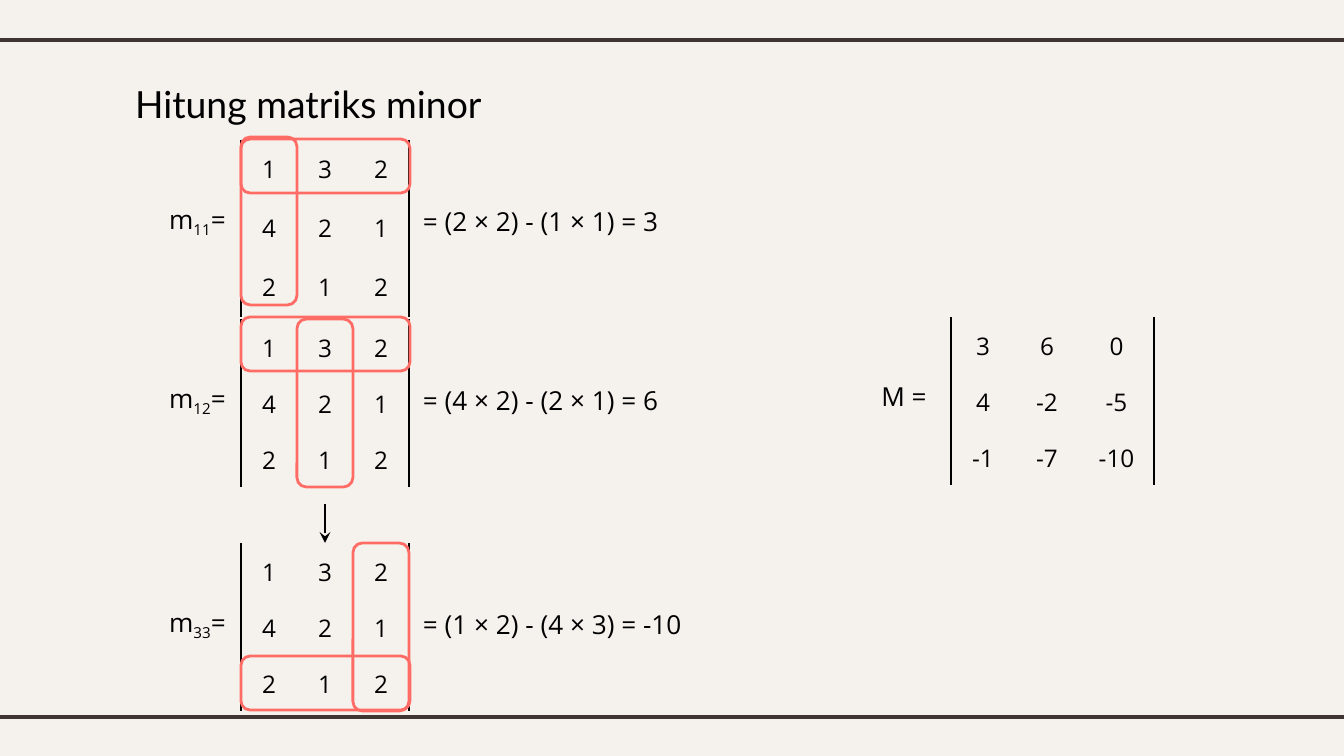
from lxml import etree
from pptx import Presentation
from pptx.dml.color import RGBColor
from pptx.enum import shapes, text
from pptx.oxml import ns
from pptx.util import Pt

# Content
TITLE = "Hitung matriks minor"
MATRIX = [["1", "3", "2"], ["4", "2", "1"], ["2", "1", "2"]]
MINOR_MATRIX = [["3", "6", "0"], ["4", "-2", "-5"], ["-1", "-7", "-10"]]
# (table top, struck row, struck column, row box top, column box top, result)
MINORS = [
    (140, 1, 1, 139, 137, "= (2 × 2) - (1 × 1) = 3"),
    (319, 1, 2, 317, 319, "= (4 × 2) - (2 × 1) = 6"),
    (543, 3, 3, 656, 543, "= (1 × 2) - (4 × 3) = -10"),
]

# Style and layout in px
BACKGROUND = RGBColor(0xF5, 0xF2, 0xEE)
RULE = RGBColor(0x3F, 0x35, 0x33)
BLACK = RGBColor(0, 0, 0)
CORAL = RGBColor(0xFF, 0x6B, 0x65)
HEAD_FONT, BODY_FONT = "Lato", "Open Sans"
WIDTH, HEIGHT = 1344, 756
CELL, LEFT = 56, 241
SIDE = 3 * CELL + 1
LABEL_W, TEXT_H, INSET = 87, 59, 13


def px(n):
    return round(n * 914400 / 134.4)


def box(*lengths):
    return [px(n) for n in lengths]


def style(p, size, font, align=text.PP_ALIGN.LEFT):
    p.font.size, p.font.name = Pt(size), font
    p.font.color.rgb = BLACK
    p.alignment = align


def set_insets(item):
    item.margin_left = item.margin_right = px(INSET)
    item.margin_top = item.margin_bottom = px(INSET)


def add_text(left, top, width, runs, align=text.PP_ALIGN.LEFT):
    """Add one line; runs are (wording, is subscript)."""
    tf = slide.shapes.add_textbox(*box(left, top, width, TEXT_H)).text_frame
    tf.word_wrap = True
    set_insets(tf)
    p = tf.paragraphs[0]
    style(p, 14, BODY_FONT, align)
    for wording, subscript in runs:
        r = p.add_run()
        r.text = wording
        if subscript:
            r.font._element.set("baseline", "-25000")


def add_line(x1, y1, x2, y2, color, weight):
    line = slide.shapes.add_connector(
        shapes.MSO_CONNECTOR.STRAIGHT, *box(x1, y1, x2, y2))
    line.line.color.rgb = color
    line.line.width = Pt(weight)
    etree.SubElement(line._element.spPr, ns.qn("a:effectLst"))
    return line


def set_borders(cell, visible):
    tc_pr = cell._tc.get_or_add_tcPr()
    for i, side in enumerate(("lnL", "lnR", "lnT", "lnB")):
        ln = etree.Element(ns.qn("a:" + side), w=str(Pt(0.75)))
        if side in visible:
            fill = etree.SubElement(ln, ns.qn("a:solidFill"))
            etree.SubElement(fill, ns.qn("a:srgbClr"), val=str(BLACK))
        else:
            etree.SubElement(ln, ns.qn("a:noFill"))
        tc_pr.insert(i, ln)


def add_matrix(left, top, values, widths):
    frame = slide.shapes.add_table(
        len(values), len(widths), *box(left, top, sum(widths), CELL * len(values)))
    table = frame.table
    table.first_row = table.horz_banding = False
    for column, width in zip(table.columns, widths):
        column.width = px(width)
    last = len(widths) - 1
    for i, row in enumerate(values):
        table.rows[i].height = px(CELL)
        for j, value in enumerate(row):
            cell = table.cell(i, j)
            cell.text = value
            set_insets(cell)
            cell.fill.background()
            style(cell.text_frame.paragraphs[0], 13, BODY_FONT, text.PP_ALIGN.CENTER)
            set_borders(cell, {0: ["lnL"], last: ["lnR"]}.get(j, []))


def add_strike(left, top, width, height):
    sp = slide.shapes.add_shape(
        shapes.MSO_SHAPE.ROUNDED_RECTANGLE, *box(left, top, width, height))
    sp.adjustments[0] = 0.17
    sp.shadow.inherit = False
    sp.fill.background()
    sp.line.color.rgb = CORAL
    sp.line.width = Pt(1.5)


prs = Presentation()
prs.slide_width, prs.slide_height = box(WIDTH, HEIGHT)
slide = prs.slides.add_slide(prs.slide_layouts[5])
slide.background.fill.solid()
slide.background.fill.fore_color.rgb = BACKGROUND

# Rules at top and bottom
for y in (40, 717):
    add_line(-11, y, WIDTH + 11, y, RULE, 2.25)

# Title
title = slide.shapes.title
title.left, title.top, title.width, title.height = box(122, 56, 426, 73)
tf = title.text_frame
tf.text = TITLE
tf.word_wrap = True
tf.auto_size = text.MSO_AUTO_SIZE.NONE
tf.vertical_anchor = text.MSO_ANCHOR.MIDDLE
set_insets(tf)
style(tf.paragraphs[0], 20, HEAD_FONT)
tf.paragraphs[0].line_spacing = 1.5

# Minors with their struck row and column
for top, row, col, row_top, col_top, result in MINORS:
    add_matrix(LEFT, top, MATRIX, [CELL] * 3)
    add_text(LEFT - LABEL_W, top + 50, LABEL_W,
             [("m", False), (f"{row}{col}", True), ("= ", False)],
             text.PP_ALIGN.CENTER)
    add_strike(LEFT, row_top, SIDE, 54)
    add_strike(LEFT + (col - 1) * CELL, col_top, CELL, SIDE - 1)
    add_text(LEFT + SIDE, top + 52, 398, [(result, False)])

# Arrow to the last minor
arrow = add_line(325, 504, 325, 543, BLACK, 0.75)
etree.SubElement(arrow.line._get_or_add_ln(), ns.qn("a:tailEnd"), type="stealth")

# Matrix of minors
add_matrix(951, 317, MINOR_MATRIX, [64, 64, 75])
add_text(951 - LABEL_W, 367, LABEL_W, [("M = ", False)], text.PP_ALIGN.CENTER)

prs.save("out.pptx")
